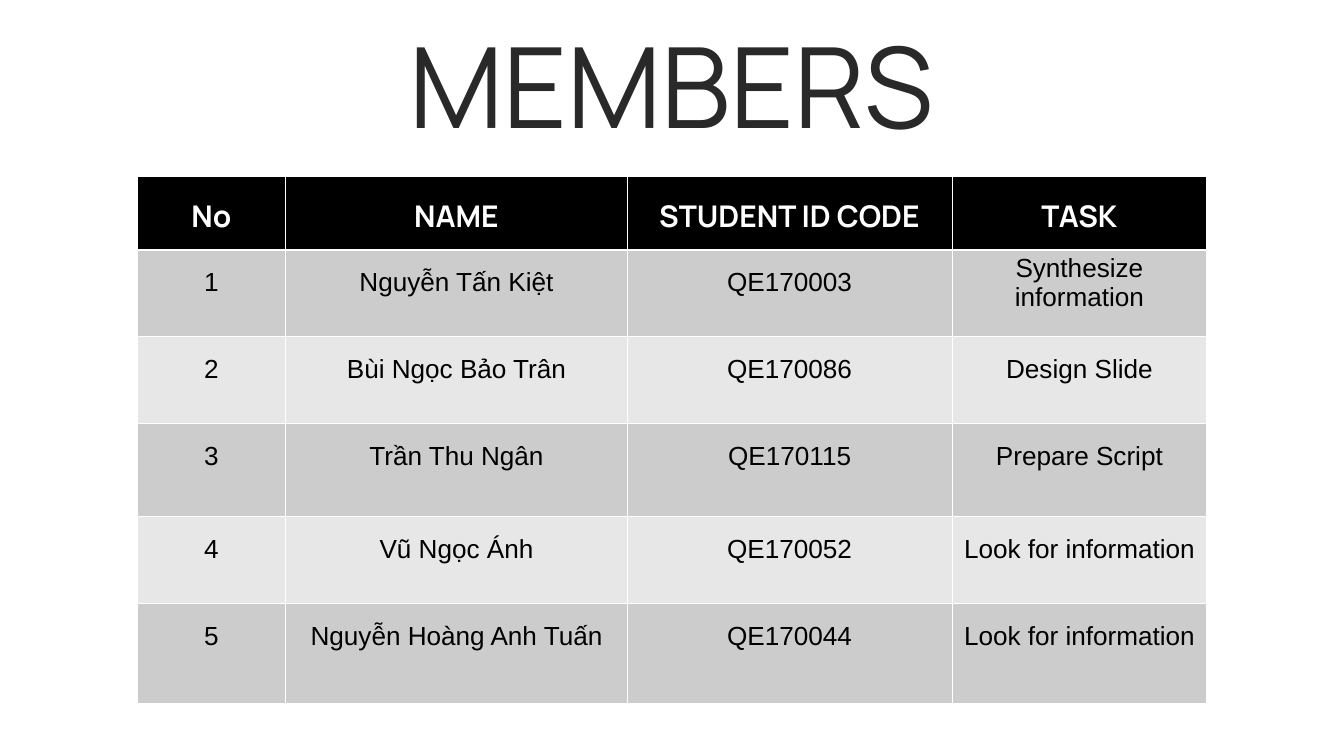
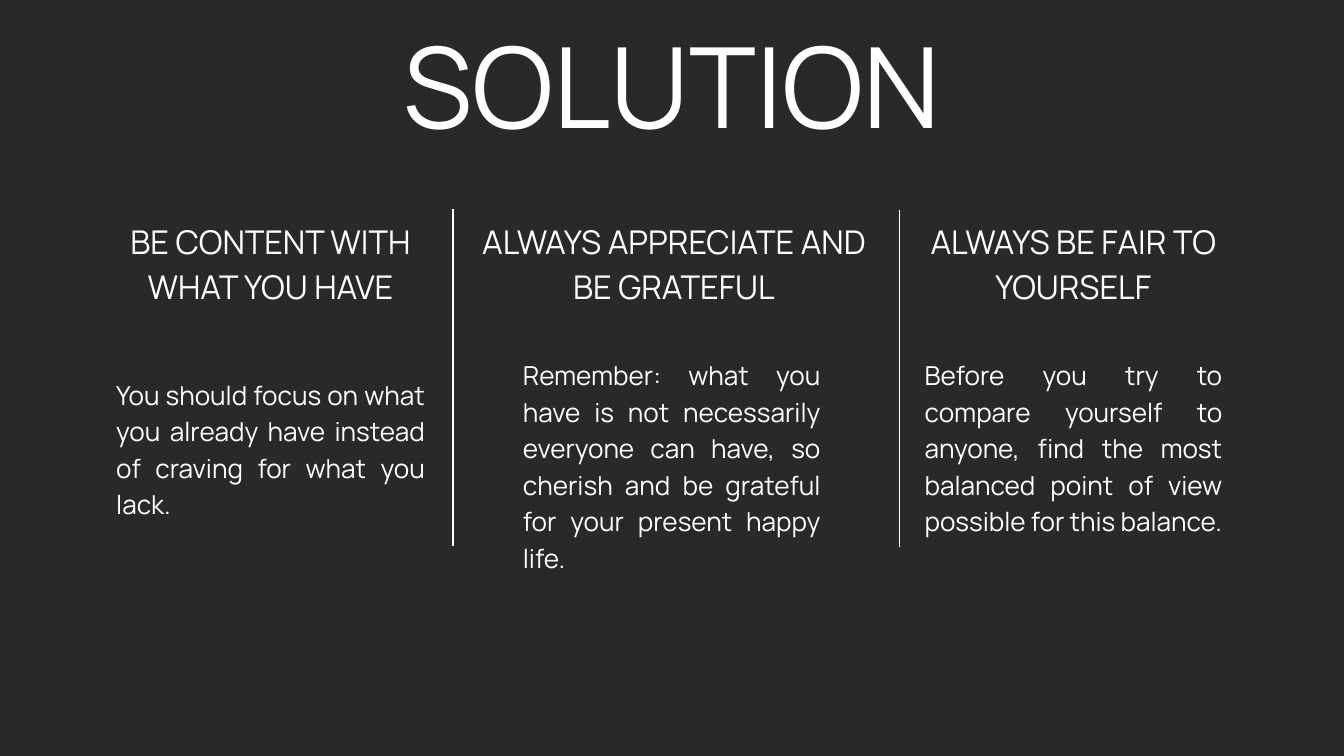
from typing import NamedTuple

from pptx import Presentation
from pptx import util as u
from pptx.dml.color import RGBColor
from pptx.enum import shapes, text
from pptx.oxml import parse_xml
from pptx.oxml.ns import nsdecls

EMU_PER_PX = 9525
WHITE = RGBColor(0xFF, 0xFF, 0xFF)
BLACK = RGBColor(0x00, 0x00, 0x00)
CHARCOAL = RGBColor(0x29, 0x29, 0x29)
ROW_GREYS = (RGBColor(0xCC, 0xCC, 0xCC), RGBColor(0xE7, 0xE7, 0xE7))
HEADING_FONT = "Manrope"
TABLE_FONT = "Arial"
TITLE_ONLY_LAYOUT = 5
CENTER = text.PP_ALIGN.CENTER
JUSTIFY = text.PP_ALIGN.JUSTIFY


class Box(NamedTuple):
    left: int
    top: int
    width: int
    height: int


class Advice(NamedTuple):
    heading: str
    heading_box: Box
    body: str
    body_box: Box


class Divider(NamedTuple):
    x: int
    top: int
    bottom: int


TITLE_BOX = Box(0, 55, 1920, 169)
TABLE_BOX = Box(196, 252, 1528, 753)
COLUMN_WIDTHS = (212, 488, 464, 364)
ROW_HEIGHTS = (105, 124, 124, 133, 124, 143)
HEADER_INSET = 28
BODY_INSET = 26
WRAPPED_INSET = 5

HEADERS = ("No", "NAME", "STUDENT ID CODE", "TASK")
MEMBERS = (
    ("Nguyễn Tấn Kiệt", "QE170003", "Synthesize information"),
    ("Bùi Ngọc Bảo Trân", "QE170086", "Design Slide"),
    ("Trần Thu Ngân", "QE170115", "Prepare Script"),
    ("Vũ Ngọc Ánh", "QE170052", "Look for information"),
    ("Nguyễn Hoàng Anh Tuấn", "QE170044", "Look for information"),
)
ADVICE = (
    Advice(
        "BE CONTENT WITH WHAT YOU HAVE", Box(171, 307, 431, 127),
        "You should focus on what you already have instead of craving "
        "for what you lack.", Box(166, 534, 441, 206),
    ),
    Advice(
        "ALWAYS APPRECIATE AND BE GRATEFUL", Box(671, 307, 584, 127),
        "Remember: what you have is not necessarily everyone can have, so "
        "cherish and be grateful for your present happy life.",
        Box(747, 506, 425, 310),
    ),
    Advice(
        "ALWAYS BE FAIR TO YOURSELF", Box(1318, 307, 431, 127),
        "Before you try to compare yourself to anyone, find the most "
        "balanced point of view possible for this balance.",
        Box(1321, 506, 425, 310),
    ),
)
DIVIDERS = (Divider(647, 299, 780), Divider(1285, 300, 781))


def px(length: int) -> u.Emu:
    return u.Emu(length * EMU_PER_PX)


def write_text(frame, content: str, *, size: float, color: RGBColor,
               font: str = HEADING_FONT, align=CENTER, bold: bool = False,
               line_spacing: float | None = None) -> None:
    paragraph = frame.paragraphs[0]
    paragraph.alignment = align
    if line_spacing:
        paragraph.line_spacing = u.Pt(line_spacing)
    run = paragraph.add_run()
    run.text = content
    run.font.name = font
    run.font.size = u.Pt(size)
    run.font.bold = bold
    run.font.color.rgb = color


def format_frame(frame) -> None:
    frame.word_wrap = True
    frame.auto_size = text.MSO_AUTO_SIZE.SHAPE_TO_FIT_TEXT
    frame.vertical_anchor = text.MSO_ANCHOR.TOP
    frame.margin_left = frame.margin_right = 0
    frame.margin_top = frame.margin_bottom = 0


def add_titled_slide(presentation, title: str, background: RGBColor,
                     color: RGBColor):
    slide = presentation.slides.add_slide(
        presentation.slide_layouts[TITLE_ONLY_LAYOUT])
    slide.background.fill.solid()
    slide.background.fill.fore_color.rgb = background
    shape = slide.shapes.title
    shape.left, shape.top, shape.width, shape.height = map(px, TITLE_BOX)
    format_frame(shape.text_frame)
    write_text(shape.text_frame, title, size=120, color=color,
               line_spacing=120)
    return slide


def add_text_box(slide, box: Box, content: str, **text_format) -> None:
    frame = slide.shapes.add_textbox(*map(px, box)).text_frame
    format_frame(frame)
    write_text(frame, content, color=WHITE, **text_format)


def set_borders(cell, top: float = 1, bottom: float = 1) -> None:
    properties = cell._tc.get_or_add_tcPr()
    widths = {"lnL": 1, "lnR": 1, "lnT": top, "lnB": bottom}
    for position, (side, width) in enumerate(widths.items()):
        properties.insert(position, parse_xml(
            f'<a:{side} {nsdecls("a")} w="{u.Pt(width)}"><a:solidFill>'
            f'<a:srgbClr val="{WHITE}"/></a:solidFill></a:{side}>'))


def fill_cell(cell, content: str, fill: RGBColor, inset: int,
              **text_format) -> None:
    cell.fill.solid()
    cell.fill.fore_color.rgb = fill
    cell.vertical_anchor = text.MSO_ANCHOR.TOP
    cell.margin_top = px(inset)
    write_text(cell.text_frame, content, **text_format)


def add_members_table(slide) -> None:
    table = slide.shapes.add_table(
        len(ROW_HEIGHTS), len(COLUMN_WIDTHS), *map(px, TABLE_BOX)).table
    for column, width in zip(table.columns, COLUMN_WIDTHS):
        column.width = px(width)
    for row, height in zip(table.rows, ROW_HEIGHTS):
        row.height = px(height)
    for column, header in enumerate(HEADERS):
        cell = table.cell(0, column)
        fill_cell(cell, header, BLACK, HEADER_INSET,
                  size=32, color=WHITE, bold=True)
        set_borders(cell, bottom=3)
    for number, member in enumerate(MEMBERS, 1):
        fill = ROW_GREYS[(number - 1) % 2]
        for column, content in enumerate((str(number), *member)):
            cell = table.cell(number, column)
            wraps = content == "Synthesize information"
            fill_cell(cell, content, fill,
                      WRAPPED_INSET if wraps else BODY_INSET,
                      size=28, color=BLACK, font=TABLE_FONT)
            set_borders(cell, top=3 if number == 1 else 1)


def add_divider(slide, divider: Divider) -> None:
    connector = slide.shapes.add_connector(
        shapes.MSO_CONNECTOR.STRAIGHT, px(divider.x), px(divider.top),
        px(divider.x), px(divider.bottom))
    connector.line.color.rgb = WHITE
    connector.line.width = u.Pt(1.5)
    connector._element.spPr.append(
        parse_xml(f'<a:effectLst {nsdecls("a")}/>'))


def build_members(presentation) -> None:
    slide = add_titled_slide(presentation, "MEMBERS", WHITE, CHARCOAL)
    add_members_table(slide)


def build_solution(presentation) -> None:
    slide = add_titled_slide(presentation, "SOLUTION", CHARCOAL, WHITE)
    for advice in ADVICE:
        add_text_box(slide, advice.heading_box, advice.heading,
                     size=35, line_spacing=49)
        add_text_box(slide, advice.body_box, advice.body,
                     size=28, line_spacing=39.2, align=JUSTIFY)
    for divider in DIVIDERS:
        add_divider(slide, divider)


def main() -> None:
    presentation = Presentation()
    presentation.slide_width = px(1920)
    presentation.slide_height = px(1080)
    build_members(presentation)
    build_solution(presentation)
    presentation.save("out.pptx")


if __name__ == "__main__":
    main()
